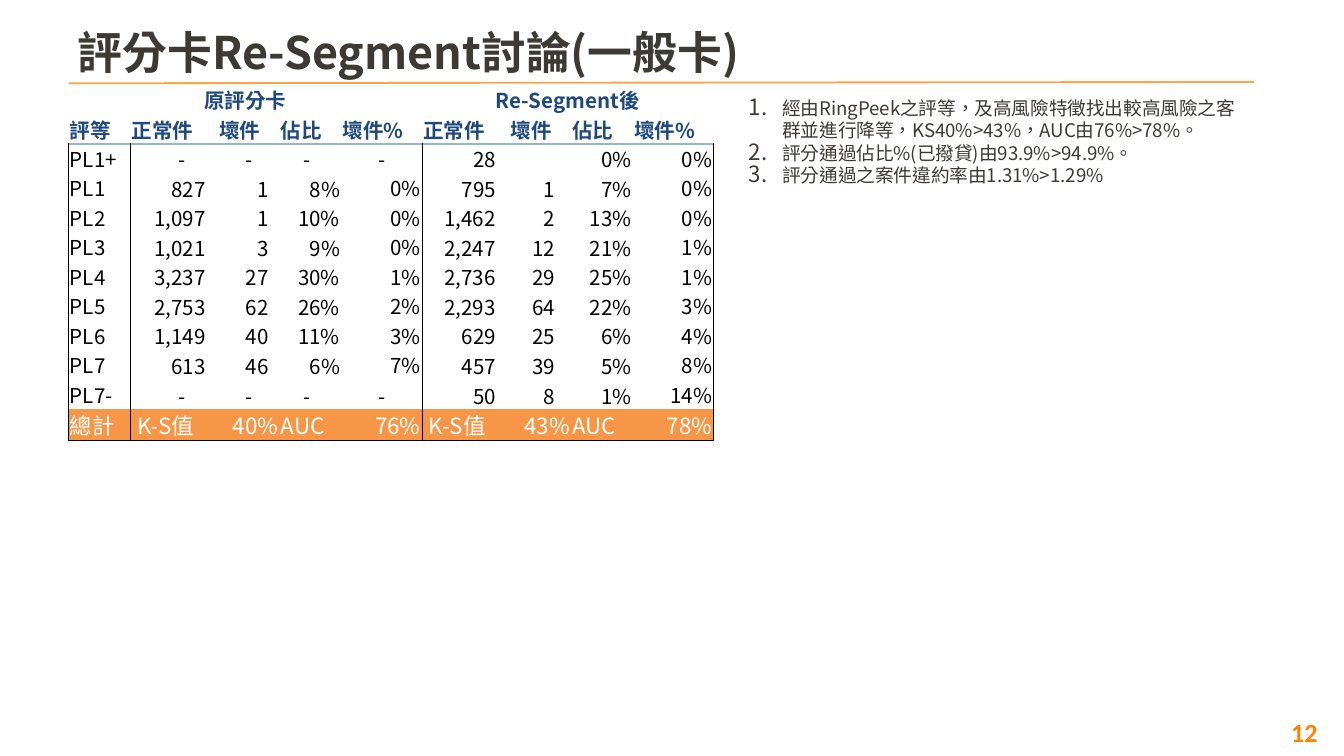
from lxml.etree import SubElement
from pptx import Presentation
from pptx.dml.color import RGBColor
from pptx.enum.shapes import MSO_CONNECTOR
from pptx.enum.text import MSO_ANCHOR, MSO_AUTO_SIZE, PP_ALIGN
from pptx.oxml.ns import qn
from pptx.util import Inches, Pt

INK = RGBColor(0x3D, 0x39, 0x35)
RULE = RGBColor(0xFF, 0xA3, 0x47)
NUMBER = RGBColor(0xFF, 0x82, 0x00)
NAVY = RGBColor(0x1F, 0x49, 0x7D)
SKY = RGBColor(0x95, 0xB3, 0xD7)
ORANGE = RGBColor(0xF7, 0x96, 0x46)
BLACK = RGBColor(0, 0, 0)
WHITE = RGBColor(0xFF, 0xFF, 0xFF)

BODY_FONT = "Noto Sans CJK SC"
TABLE_FONT = "Noto Sans CJK TC"
NUMBER_FONT = "Calibri"

NOTES = [
    "經由RingPeek之評等，及高風險特徵找出較高風險之客群並進行降等，KS40%>43%，AUC由76%>78%。",
    "評分通過佔比%(已撥貸)由93.9%>94.9%。",
    "評分通過之案件違約率由1.31%>1.29%",
]
MEASURES = ["正常件", "壞件", "佔比", "壞件%"]
GRADES = [
    ["PL1+", "-", "-", "-", "-", "28", "", "0%", "0%"],
    ["PL1", "827", "1", "8%", "0%", "795", "1", "7%", "0%"],
    ["PL2", "1,097", "1", "10%", "0%", "1,462", "2", "13%", "0%"],
    ["PL3", "1,021", "3", "9%", "0%", "2,247", "12", "21%", "1%"],
    ["PL4", "3,237", "27", "30%", "1%", "2,736", "29", "25%", "1%"],
    ["PL5", "2,753", "62", "26%", "2%", "2,293", "64", "22%", "3%"],
    ["PL6", "1,149", "40", "11%", "3%", "629", "25", "6%", "4%"],
    ["PL7", "613", "46", "6%", "7%", "457", "39", "5%", "8%"],
    ["PL7-", "-", "-", "-", "-", "50", "8", "1%", "14%"],
]
ROWS = [
    ["", "", "", "", "", "", "", "", ""],
    ["評等"] + MEASURES * 2,
    *GRADES,
    ["總計", "K-S值", "40%", "AUC", "76%", "K-S值", "43%", "AUC", "78%"],
]
GROUPS = [("原評分卡", 0, 4), ("Re-Segment後", 5, 8)]
COLUMN_WIDTHS = [0.46] + [0.65, 0.46, 0.46, 0.6] * 2
ROW_HEIGHT = 0.22
HEADER = 1
TOTAL = len(ROWS) - 1
EDGE_INSET = 0.01
COUNT_INSETS = {1: 0.09, 2: 0.08, 5: 0.1, 6: 0.12}
DASH_INSETS = {1: 0.24, 2: 0.2, 3: 0.23, 4: 0.27}
BLOCK_STARTS = (0, 1, 5)
BLOCK_ENDS = (0, 4, 8)


class Page:
    def __init__(self, deck):
        self.slide = deck.slides.add_slide(deck.slide_layouts[1])

    def place(self, shape, left, top, width, height):
        shape.left, shape.top = Inches(left), Inches(top)
        shape.width, shape.height = Inches(width), Inches(height)

    def style(self, para, font, size, color, bold=False):
        for span in para.runs:
            span.font.name = font
            span.font.size = Pt(size)
            span.font.bold = bold
            span.font.color.rgb = color
            span.font._element.set("lang", "zh-TW")
            east_asian = SubElement(span.font._element, qn("a:ea"))
            east_asian.set("typeface", font)
        if not para.runs:
            SubElement(para._p, qn("a:endParaRPr")).set("sz", str(size * 100))

    def inset(self, item, left, top, right, bottom):
        item.margin_left, item.margin_top = Inches(left), Inches(top)
        item.margin_right, item.margin_bottom = Inches(right), Inches(bottom)

    def title(self, text, *area):
        title = self.slide.shapes.title
        self.place(title, *area)
        frame = title.text_frame
        frame.text = text
        frame.auto_size = MSO_AUTO_SIZE.NONE
        frame.vertical_anchor = MSO_ANCHOR.MIDDLE
        self.inset(frame, 0.07, 0.04, 0.07, 0.04)
        para = frame.paragraphs[0]
        para.alignment = PP_ALIGN.LEFT
        self.style(para, BODY_FONT, 24, INK, True)

    def numbered_list(self, items, *area):
        body = self.slide.placeholders[1]
        self.place(body, *area)
        frame = body.text_frame
        frame.text = "\n".join(items)
        frame.auto_size = MSO_AUTO_SIZE.NONE
        for para in frame.paragraphs:
            para.space_before = Pt(0)
            self.style(para, BODY_FONT, 10, INK)
            properties = para._p.get_or_add_pPr()
            properties.set("marL", str(Inches(0.25)))
            properties.set("indent", str(Inches(-0.25)))
            SubElement(properties, qn("a:buSzPct")).set("val", "120000")
            SubElement(properties, qn("a:buFont")).set("typeface", "+mj-lt")
            SubElement(properties, qn("a:buAutoNum")).set("type", "arabicPeriod")

    def rule(self, left, top, right, bottom):
        line = self.slide.shapes.add_connector(
            MSO_CONNECTOR.STRAIGHT,
            Inches(left), Inches(top), Inches(right), Inches(bottom))
        line.line.color.rgb = RULE
        line.line.width = Pt(1)
        SubElement(line._element.spPr, qn("a:effectLst"))

    def page_number(self, text, *area):
        box = self.slide.shapes.add_textbox(*map(Inches, area))
        frame = box.text_frame
        frame.word_wrap = True
        frame.vertical_anchor = MSO_ANCHOR.MIDDLE
        self.inset(frame, 0.04, 0.04, 0.04, 0.04)
        frame.text = text
        frame.paragraphs[0].alignment = PP_ALIGN.CENTER
        self.style(frame.paragraphs[0], NUMBER_FONT, 14, NUMBER, True)

    def borders(self, cell, edges):
        """Draw the edges given as side: (colour, points) and clear the others."""
        properties = cell._tc.get_or_add_tcPr()
        for side in "LRTB":
            line = SubElement(properties, qn("a:ln" + side))
            if side in edges:
                color, points = edges[side]
                line.set("w", str(Pt(points)))
                fill = SubElement(line, qn("a:solidFill"))
                SubElement(fill, qn("a:srgbClr")).set("val", str(color))
            else:
                SubElement(line, qn("a:noFill"))

    def cell_text(self, cell, text, align, size, color, bold):
        cell.text = text
        para = cell.text_frame.paragraphs[0]
        para.alignment = align
        para.line_spacing = 0.9
        self.style(para, TABLE_FONT, size, color, bold)

    def score_table(self, left, top):
        frame = self.slide.shapes.add_table(
            len(ROWS), len(COLUMN_WIDTHS), Inches(left), Inches(top),
            Inches(sum(COLUMN_WIDTHS)), Inches(ROW_HEIGHT * len(ROWS)))
        table = frame.table
        table.first_row = table.horz_banding = False
        for column, width in zip(table.columns, COLUMN_WIDTHS):
            column.width = Inches(width)
        for row in table.rows:
            row.height = Inches(ROW_HEIGHT)
        for row, texts in enumerate(ROWS):
            for column, text in enumerate(texts):
                self.score_cell(table.cell(row, column), row, column, text)
        for text, first, last in GROUPS:
            cell = table.cell(0, first)
            cell.merge(table.cell(0, last))
            self.cell_text(cell, text, PP_ALIGN.CENTER, 11, NAVY, True)

    def score_cell(self, cell, row, column, text):
        heading = row <= HEADER
        left = right = EDGE_INSET
        align = PP_ALIGN.LEFT
        if not heading and column and text not in ("K-S值", "AUC"):
            align = PP_ALIGN.RIGHT
            if text == "-":
                right = DASH_INSETS[column]
            elif row != TOTAL:
                right = COUNT_INSETS.get(column, EDGE_INSET)
        if text == "K-S值":
            left = 0.05
        self.inset(cell, left, 0.01, right, 0)
        in_middle = HEADER < row < TOTAL and column in (0, 4, 8) and text != "-"
        cell.vertical_anchor = MSO_ANCHOR.MIDDLE if in_middle else MSO_ANCHOR.BOTTOM

        edges = {}
        if row == HEADER:
            edges["B"] = (SKY, 1)
        if row == HEADER + 1:
            edges["T"] = (SKY, 1)
        if row == TOTAL:
            edges["B"] = (BLACK, 0.5)
        if not heading and column in BLOCK_STARTS:
            edges["L"] = (BLACK, 0.5)
        if not heading and column in BLOCK_ENDS:
            edges["R"] = (BLACK, 0.5)
        self.borders(cell, edges)

        if row == TOTAL:
            cell.fill.solid()
            cell.fill.fore_color.rgb = ORANGE
            size, color = 12, WHITE
        else:
            cell.fill.background()
            size, color = 11, NAVY if heading else BLACK
        if row:
            self.cell_text(cell, text, align, size, color, heading)


deck = Presentation()
deck.slide_width, deck.slide_height = Inches(10), Inches(10 * 9 / 16)
page = Page(deck)
page.title("評分卡Re-Segment討論(一般卡)", 0.51, 0.15, 6.46, 0.47)
page.numbered_list(NOTES, 5.47, 0.67, 3.86, 0.77)
page.rule(0.51, 0.62, 9.33, 0.61)
page.score_table(0.51, 0.63)
page.page_number("12", 9.41, 5.23, 0.59, 0.44)
deck.save("out.pptx")
